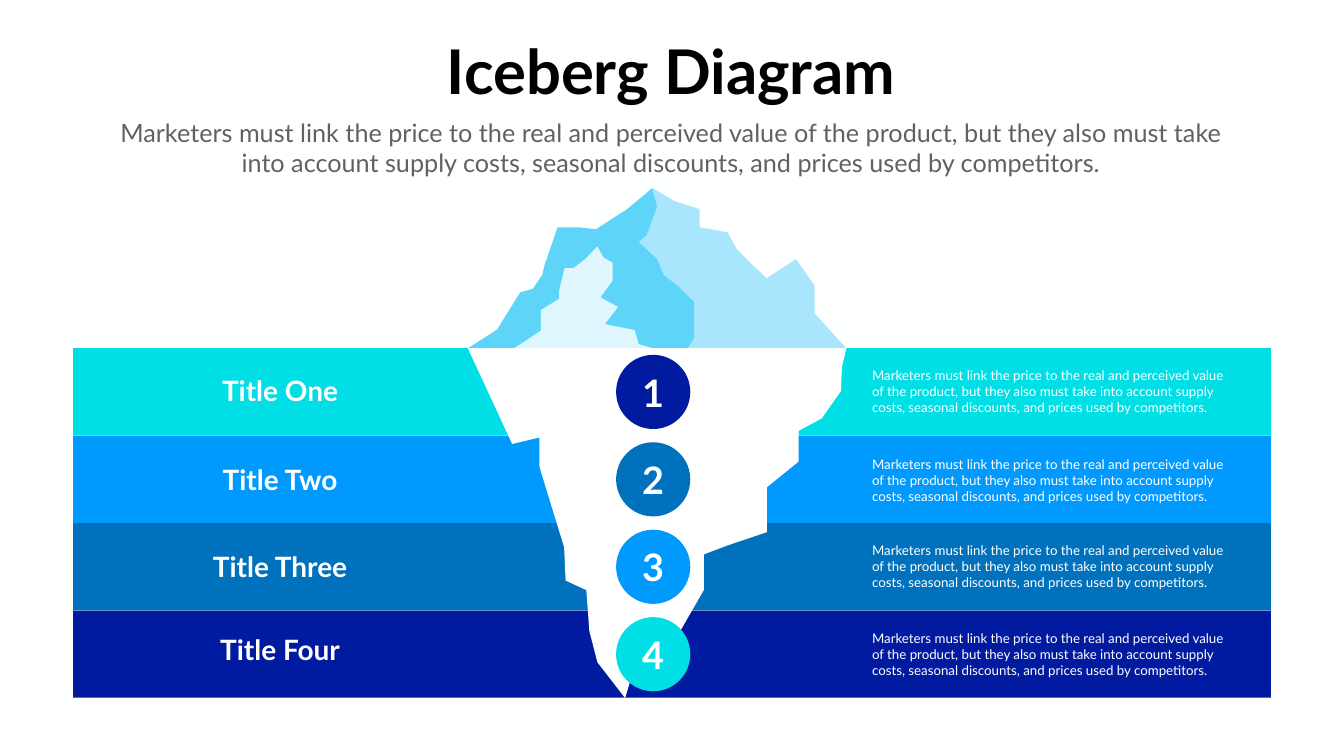
from typing import NamedTuple

from pptx import Presentation
from pptx.dml.color import RGBColor
from pptx.enum.shapes import MSO_SHAPE as Preset
from pptx.enum.text import MSO_ANCHOR as Anchor, MSO_AUTO_SIZE as AutoSize, PP_ALIGN as Align
from pptx.shapes.autoshape import Shape
from pptx.slide import Slide
from pptx.text.text import TextFrame
from pptx.util import Pt

BACKGROUND = RGBColor(0xFE, 0xFF, 0xFF)
WHITE = RGBColor(0xFF, 0xFF, 0xFF)
BLACK = RGBColor(0x00, 0x00, 0x00)
GREY = RGBColor(0x61, 0x61, 0x61)
CYAN = RGBColor(0x00, 0xDF, 0xE5)
AZURE = RGBColor(0x00, 0x9A, 0xFF)
BLUE = RGBColor(0x00, 0x71, 0xBD)
NAVY = RGBColor(0x01, 0x1B, 0xA0)
PALE_ICE = RGBColor(0xA9, 0xE5, 0xFD)
BRIGHT_ICE = RGBColor(0x5E, 0xD4, 0xF8)
SNOW = RGBColor(0xDF, 0xF6, 0xFE)

FONT = "Lato"
MESSAGE = (
    "Marketers must link the price to the real and perceived value of the product, "
    "but they also must take into account supply costs, seasonal discounts, "
    "and prices used by competitors."
)

# All lengths are in points.
WATERLINE = 497.5
BAND_LEFT, BAND_WIDTH, BAND_HEIGHT, BAND_PITCH = 104.4, 1710.7, 124.6, 124.9
CIRCLE_LEFT, CIRCLE_SIZE, CIRCLE_OFFSET = 879.9, 106, 9.4
TITLE_CENTRE, TITLE_HEIGHT = 400, 55.4
BODY_LEFT, BODY_WIDTH, BODY_HEIGHT = 1238.4, 534.2, 76.3

Points = list[tuple[float, float]]


class Level(NamedTuple):
    title: str
    band_color: RGBColor
    circle_color: RGBColor
    title_top: float
    title_width: float
    body_top: float


class Facet(NamedTuple):
    color: RGBColor
    outline: Points


LEVELS = [
    Level("Title One", CYAN, NAVY, 530.6, 185, 520.6),
    Level("Title Two", AZURE, BLUE, 657.4, 185, 648),
    Level("Title Three", BLUE, AZURE, 781.9, 218.2, 771.1),
    Level("Title Four", NAVY, CYAN, 900, 204.5, 896.4),
]

# Edge shared by the two upper faces, from the summit down to the waterline.
RIDGE: Points = [
    (931.7, 268.6), (938.5, 295.2), (923.8, 335.5), (912.2, 345.6), (938.5, 370.1),
    (948.2, 393.1), (968.8, 409), (991.8, 432), (991.8, 482.4), (981.9, WATERLINE),
]
FACETS = [
    Facet(PALE_ICE, RIDGE + [
        (1208.5, WATERLINE), (1163.5, 447.8), (1163.5, 408.2), (1136.9, 370.1),
        (1095.1, 397.4), (1075.7, 379.4), (1052.6, 356.4), (1039, 331.9),
        (999.4, 324.7), (999.4, 298.8), (963.4, 287.3),
    ]),
    Facet(BRIGHT_ICE, RIDGE + [
        (668.2, WATERLINE), (709.9, 470.9), (743, 417.6), (761, 412.6), (774.7, 392.4),
        (777.6, 379.4), (796.3, 324.7), (827.3, 324.7), (851, 327.6), (895.7, 298.8),
    ]),
    Facet(SNOW, [
        (734.4, WATERLINE), (772.6, 472.3), (772.6, 442.8), (798.5, 427), (798.5, 415.4),
        (806.4, 383), (819.4, 383), (837.4, 368.6), (853.2, 352.1), (861.8, 367.9),
        (874.8, 375.1), (874.8, 401), (857.5, 424.8), (882.7, 438.5), (864, 463),
        (906.5, 471.6), (912.2, 491.8), (932.4, WATERLINE),
    ]),
    Facet(WHITE, [
        (668.2, WATERLINE), (731.5, 634.3), (770.4, 625), (770.4, 666.7), (805.7, 781.9),
        (807.8, 829.4), (837.4, 843.1), (841.7, 901.4), (853.2, 946.1), (892.8, 997.2),
        (913.7, 927.4), (966.2, 910.8), (1005.1, 843.1), (1005.1, 792), (1039.7, 779),
        (1095.1, 760.3), (1095.1, 696.2), (1140.5, 659.5), (1140.5, 615.6),
        (1173.6, 597.6), (1201, 558.7), (1202.4, 524.9), (1208.9, WATERLINE),
    ]),
]


def write(frame: TextFrame, text: str, *, size: float, color: RGBColor = WHITE,
          bold: bool = False, align: Align = Align.CENTER, wrap: bool = True) -> None:
    frame.word_wrap = wrap
    paragraph = frame.paragraphs[0]
    paragraph.alignment = align
    run = paragraph.add_run()
    run.text = text
    run.font.name = FONT
    run.font.size = Pt(size)
    run.font.bold = bold
    run.font.color.rgb = color


def add_text(slide: Slide, text: str, left: float, top: float, width: float,
             height: float, **text_format) -> None:
    box = slide.shapes.add_textbox(Pt(left), Pt(top), Pt(width), Pt(height))
    write(box.text_frame, text, **text_format)
    box.text_frame.auto_size = AutoSize.SHAPE_TO_FIT_TEXT


def paint(shape: Shape, color: RGBColor) -> None:
    """Give the shape a flat fill without line or shadow."""
    shape.shadow.inherit = False
    shape.fill.solid()
    shape.fill.fore_color.rgb = color
    shape.line.fill.background()


def add_preset(slide: Slide, preset: Preset, left: float, top: float, width: float,
               height: float, color: RGBColor) -> Shape:
    shape = slide.shapes.add_shape(preset, Pt(left), Pt(top), Pt(width), Pt(height))
    paint(shape, color)
    return shape


def add_facet(slide: Slide, facet: Facet) -> None:
    start, *others = [(Pt(x), Pt(y)) for x, y in facet.outline]
    builder = slide.shapes.build_freeform(*start)
    builder.add_line_segments(others, close=True)
    paint(builder.convert_to_shape(), facet.color)


def add_number(slide: Slide, number: int, top: float, color: RGBColor) -> None:
    circle = add_preset(slide, Preset.OVAL, CIRCLE_LEFT, top, CIRCLE_SIZE, CIRCLE_SIZE, color)
    circle.text_frame.vertical_anchor = Anchor.MIDDLE
    write(circle.text_frame, str(number), size=54, bold=True, wrap=False)


def main() -> None:
    presentation = Presentation()
    presentation.slide_width = Pt(1919.52)
    presentation.slide_height = Pt(1080)
    slide = presentation.slides.add_slide(presentation.slide_layouts[6])
    slide.background.fill.solid()
    slide.background.fill.fore_color.rgb = BACKGROUND

    band_tops = [WATERLINE + index * BAND_PITCH for index in range(len(LEVELS))]
    for level, top in zip(LEVELS, band_tops):
        add_preset(slide, Preset.RECTANGLE, BAND_LEFT, top, BAND_WIDTH, BAND_HEIGHT,
                   level.band_color)
    for facet in FACETS:
        add_facet(slide, facet)

    add_text(slide, "Iceberg Diagram", 623.5, 43.9, 669.6, 113.8,
             size=88, color=BLACK, bold=True, wrap=False)
    add_text(slide, MESSAGE, 158.4, 163.4, 1599.1, 94.3, size=36, color=GREY)

    for number, (level, top) in enumerate(zip(LEVELS, band_tops), start=1):
        add_number(slide, number, top + CIRCLE_OFFSET, level.circle_color)
        add_text(slide, level.title, TITLE_CENTRE - level.title_width / 2, level.title_top,
                 level.title_width, TITLE_HEIGHT, size=40, bold=True)
        add_text(slide, MESSAGE, BODY_LEFT, level.body_top, BODY_WIDTH, BODY_HEIGHT,
                 size=19, align=Align.LEFT)

    presentation.save("out.pptx")


if __name__ == "__main__":
    main()
